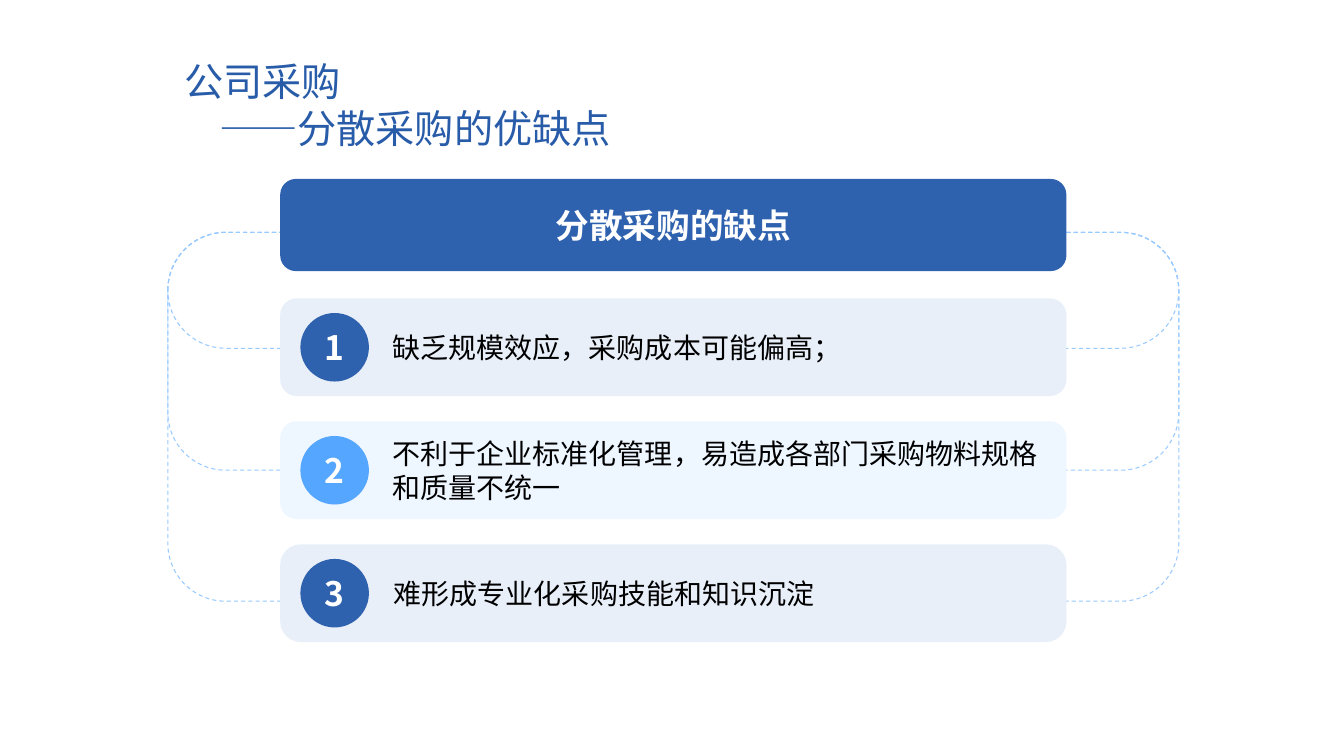
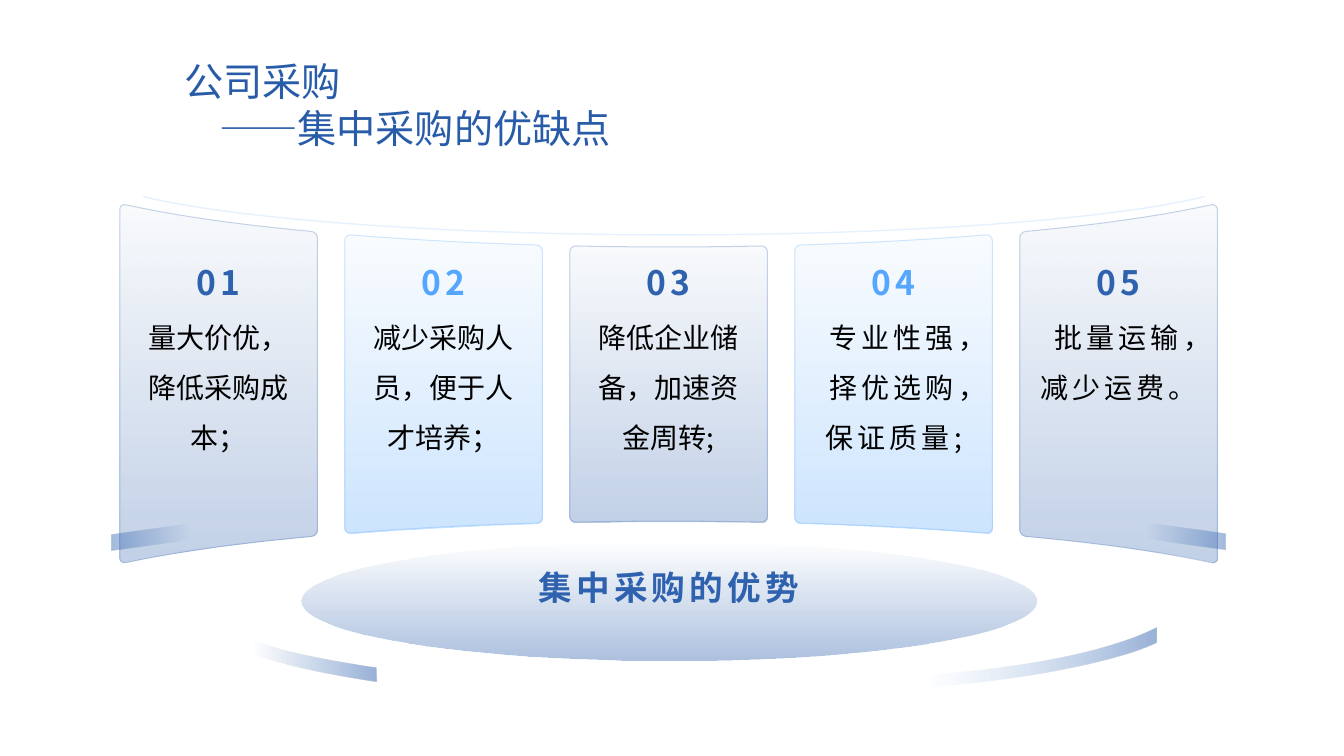
"""Build two slides on the drawbacks and strengths of purchasing models."""
from dataclasses import dataclass
from math import sqrt

from lxml import etree
from pptx import Presentation
from pptx.dml.color import RGBColor
from pptx.enum.dml import MSO_LINE
from pptx.enum.shapes import MSO_SHAPE
from pptx.enum.text import MSO_ANCHOR, MSO_AUTO_SIZE, PP_ALIGN
from pptx.oxml.ns import qn
from pptx.util import Inches, Pt

ROUNDED, OVAL = MSO_SHAPE.ROUNDED_RECTANGLE, MSO_SHAPE.OVAL
LEFT, CENTER = PP_ALIGN.LEFT, PP_ALIGN.CENTER
TOP, MIDDLE = MSO_ANCHOR.TOP, MSO_ANCHOR.MIDDLE
DASH = MSO_LINE.DASH
NO_RESIZE = MSO_AUTO_SIZE.NONE

COLUMNS, ROWS = 133.33, 75
TITLE_ONLY = 5
NAVY, SKY, TITLE_BLUE, RING_BLUE = "2F62AE", "54A6FF", "285CA9", "98CAFF"
PALE_NAVY, PALE_SKY, WHITE, BLACK = "E8EFF9", "EEF6FF", "FFFFFF", "000000"
TITLE_FONT, BODY_FONT, LATIN_FONT = "Noto Sans CJK SC", "Noto Sans CJK JP", "Arial"
PADDING, NO_PADDING = (1, 0.5, 1, 0.5), (0, 0, 0, 0)

STAGE_CENTER, STAGE_RADIUS = 66.33, 65
CEILING, FLOOR = (24.5, -9.5), (51.7, 9.4)
CARD_WIDTH, CARD_PITCH, CARD_RADIUS = 19.6, 22.32, 0.6
BAR_LEFT, BAR_WIDTH, BAR_HEIGHT, BAR_PITCH = 27.8, 78, 9.7, 12.2
BADGE_SIZE = 6.8
RING_RADIUS = 5.75

Point = tuple[float, float]
Step = tuple[Point, ...]


@dataclass(frozen=True)
class Area:
    """A rectangle in grid columns and rows."""
    left: float
    top: float
    width: float
    height: float

    def lengths(self) -> tuple:
        """Return the rectangle in slide lengths."""
        return tuple(grid(n) for n in (self.left, self.top, self.width, self.height))


@dataclass(frozen=True)
class Drawback:
    """A numbered bar."""
    text: str
    fill: str
    badge: str
    rounding: float = 0.17


@dataclass(frozen=True)
class Strength:
    """A curved card."""
    text: str
    color: str
    spacing: float = 0


DRAWBACKS = (
    Drawback("缺乏规模效应，采购成本可能偏高；", PALE_NAVY, NAVY),
    Drawback("不利于企业标准化管理，易造成各部门采购物料规格和质量不统一", PALE_SKY, SKY),
    Drawback("难形成专业化采购技能和知识沉淀", PALE_NAVY, NAVY, 0.21),
)
RING_HEIGHTS = (11.5, 23.6, 36.6)
STRENGTHS = (
    Strength("量大价优，降低采购成本；", NAVY),
    Strength("减少采购人员，便于人才培养；", SKY),
    Strength("降低企业储备，加速资金周转;", NAVY),
    Strength("专业性强，择优选购，保证质量;", SKY, 3),
    Strength("批量运输，减少运费。", NAVY, 3),
)


def grid(count: float) -> int:
    """Turn grid cells into a slide length."""
    return Inches(count / 10)


def rgb(value: str) -> RGBColor:
    """Turn a hex string into a colour."""
    return RGBColor.from_string(value)


def set_alpha(parent, percents: tuple) -> None:
    """Give the colours below an element their opacity."""
    for color, percent in zip(parent.iter(qn("a:srgbClr")), percents):
        etree.SubElement(color, qn("a:alpha")).set("val", str(percent * 1000))


def paint(shape, fill: str | None = None, line: str | None = None,
          weight: float = 0.75, dash=None, opacity: int | None = None) -> None:
    """Set a plain fill and outline."""
    shape.shadow.inherit = False
    if fill:
        shape.fill.solid()
        shape.fill.fore_color.rgb = rgb(fill)
    else:
        shape.fill.background()
    if line:
        shape.line.color.rgb = rgb(line)
        shape.line.width = Pt(weight)
        shape.line.dash_style = dash
        if opacity is not None:
            set_alpha(shape._element.spPr.find(qn("a:ln")), (opacity,))
    else:
        shape.line.fill.background()


def fade(shape, color: str, opacities: tuple[int, int], angle: int = 270,
         start: float = 0, first: str | None = None) -> None:
    """Fill a shape with a gradient between two opacities."""
    shape.fill.gradient()
    shape.fill.gradient_angle = angle
    colors = (first or color, color)
    for stop, position, value in zip(shape.fill.gradient_stops, (start, 1), colors):
        stop.position = position
        stop.color.rgb = rgb(value)
    set_alpha(shape._element.spPr.find(qn("a:gradFill")), opacities)


def write(box, *lines: str, size: float, color: str, font: str = BODY_FONT,
          bold: bool = False, spacing: float = 0, leading: float | None = None,
          align=LEFT, anchor=MIDDLE, padding: tuple = PADDING,
          wrap: bool = True, indent: float = 0) -> None:
    """Write paragraphs into a shape; later ones take the indent."""
    frame = box.text_frame
    frame.auto_size = NO_RESIZE
    frame.word_wrap = wrap
    frame.vertical_anchor = anchor
    (frame.margin_left, frame.margin_top,
     frame.margin_right, frame.margin_bottom) = map(grid, padding)
    for index, line in enumerate(lines):
        para = frame.add_paragraph() if index else frame.paragraphs[0]
        para.alignment = align
        if leading:
            para.line_spacing = Pt(leading)
        if index and indent:
            properties = para._p.get_or_add_pPr()
            properties.set("marL", str(grid(indent)))
            properties.set("indent", "0")
        span = para.add_run()
        span.text = line
        span.font.size = Pt(size)
        span.font.bold = bold
        span.font.color.rgb = rgb(color)
        span.font.name = font
        run_properties = span._r.get_or_add_rPr()
        run_properties.set("lang", "zh-CN")
        if spacing:
            run_properties.set("spc", str(round(spacing * 100)))
        east_asian = TITLE_FONT if font == LATIN_FONT else font
        etree.SubElement(run_properties, qn("a:ea")).set("typeface", east_asian)


def add_shape(page, kind, area: Area, rounding: float | None = None, **style):
    """Add a painted preset shape."""
    shape = page.shapes.add_shape(kind, *area.lengths())
    if rounding is not None:
        shape.adjustments[0] = rounding
    paint(shape, **style)
    return shape


def add_label(page, area: Area, text: str, **style) -> None:
    """Add a centred text box without padding."""
    box = page.shapes.add_textbox(*area.lengths())
    write(box, text, align=CENTER, padding=NO_PADDING, **style)


def add_outline(page, steps: list[Step], close: bool = True, **style):
    """Add a painted freeform; steps of three points are cubic curves."""
    start, *rest = [(grid(x), grid(y)) for step in steps for x, y in step]
    builder = page.shapes.build_freeform(*start)
    builder.add_line_segments(rest, close=close)
    shape = builder.convert_to_shape()
    segments = iter(list(shape._element.iter(qn("a:lnTo"))))
    for step in steps[1:]:
        segment = next(segments)
        if len(step) == 3:
            segment.tag = qn("a:cubicBezTo")
            for _ in range(2):
                extra = next(segments)
                segment.append(extra[0])
                extra.getparent().remove(extra)
    paint(shape, **style)
    return shape


def arc_point(arc: tuple[float, float], x: float) -> Point:
    """Return the point of a stage arc at a column."""
    base, rise = arc
    return x, base + rise * (1 - sqrt(1 - ((x - STAGE_CENTER) / STAGE_RADIUS) ** 2))


def arc_step(arc: tuple[float, float], start: float, end: float) -> Step:
    """Follow a stage arc between two columns with one curve."""
    third = (end - start) / 3

    def pull(x: float, shift: float) -> Point:
        share = (x - STAGE_CENTER) / STAGE_RADIUS
        slope = arc[1] * share / (STAGE_RADIUS * sqrt(1 - share ** 2))
        return x + shift, arc_point(arc, x)[1] + slope * shift

    return pull(start, third), pull(end, -third), arc_point(arc, end)


def corner_step(start: Point, tip: Point, end: Point) -> Step:
    """Round a corner with one curve."""
    pulls = [tuple(a + 0.55 * (b - a) for a, b in zip(point, tip)) for point in (start, end)]
    return pulls[0], pulls[1], end


def card_outline(left: float) -> list[Step]:
    """Outline a rounded card between the two arcs of the stage."""
    right = left + CARD_WIDTH
    inner_left, inner_right = left + CARD_RADIUS, right - CARD_RADIUS
    tips = [arc_point(arc, x) for arc, x in
            ((CEILING, left), (CEILING, right), (FLOOR, right), (FLOOR, left))]
    sides = [(x, y + shift) for (x, y), shift in
             zip(tips, (CARD_RADIUS, CARD_RADIUS, -CARD_RADIUS, -CARD_RADIUS))]
    return [
        (sides[0],),
        corner_step(sides[0], tips[0], arc_point(CEILING, inner_left)),
        arc_step(CEILING, inner_left, inner_right),
        corner_step(arc_point(CEILING, inner_right), tips[1], sides[1]),
        (sides[2],),
        corner_step(sides[2], tips[2], arc_point(FLOOR, inner_right)),
        arc_step(FLOOR, inner_right, inner_left),
        corner_step(arc_point(FLOOR, inner_left), tips[3], sides[3]),
    ]


def add_page(deck, subtitle: str):
    """Add a slide with the shared two-line title."""
    page = deck.slides.add_slide(deck.slide_layouts[TITLE_ONLY])
    title = page.shapes.title
    title.left, title.top, title.width, title.height = Area(17.3, 7.2, 99, 6.4).lengths()
    write(title, "公司采购", f"——{subtitle}", size=28, color=TITLE_BLUE,
          font=TITLE_FONT, leading=33, indent=3.45)
    return page


def build_drawbacks(deck) -> None:
    """Draw the numbered bars and the rings that tie them to the heading."""
    page = add_page(deck, "分散采购的优缺点")
    for height in RING_HEIGHTS:
        add_shape(page, ROUNDED, Area(16.65, 23.05, 100.3, height),
                  RING_RADIUS / height, line=RING_BLUE, dash=DASH)
    for index, item in enumerate(DRAWBACKS):
        top = 29.6 + index * BAR_PITCH
        bar = add_shape(page, ROUNDED, Area(BAR_LEFT, top, BAR_WIDTH, BAR_HEIGHT),
                        item.rounding, fill=item.fill)
        write(bar, item.text, size=20, color=BLACK, leading=24, padding=(10.67, 0.5, 1, 0.5))
        badge = add_shape(page, OVAL, Area(BAR_LEFT + 2, top + (BAR_HEIGHT - BADGE_SIZE) / 2,
                                           BADGE_SIZE, BADGE_SIZE), fill=item.badge)
        write(badge, str(index + 1), size=24, color=WHITE, bold=True, align=CENTER, wrap=False)
    heading = add_shape(page, ROUNDED, Area(BAR_LEFT, 17.75, BAR_WIDTH, 9.15), 0.17, fill=NAVY)
    write(heading, "分散采购的缺点", size=24, color=WHITE, bold=True, align=CENTER)


def build_strengths(deck) -> None:
    """Draw the curved stage with its five cards."""
    page = add_page(deck, "集中采购的优缺点")
    podium = add_shape(page, OVAL, Area(29.9, 53.7, 72.95, 11.8))
    fade(podium, NAVY, (0, 40))
    add_label(page, Area(36.2, 54.2, 60.3, 8.1), "集中采购的优势", size=24,
              color=NAVY, font=LATIN_FONT, bold=True, spacing=3)

    left_ribbon = [((37.3, 66.2),), ((37.35, 67.6),),
                   ((37.35, 67.6), (25.2, 65.9), (23.6, 63.9)), ((23.7, 62.6),),
                   ((23.7, 62.6), (24.6, 64.4), (37.3, 66.2))]
    right_ribbon = [((114.7, 62.3),), ((114.7, 63.8),),
                    ((114.7, 63.8), (108.8, 67), (89.2, 68.4)), ((89.1, 67.1),),
                    ((89.1, 67.1), (106.3, 66.5), (114.7, 62.3))]
    for steps, first in ((left_ribbon, NAVY), (right_ribbon, "769EDA")):
        fade(add_outline(page, steps), NAVY, (0, 49), angle=0, start=0.12, first=first)

    rim = [((119.5, 19.5),), ((110.7, 21.7), (90.5, 23.3), (66.9, 23.3)),
           ((43.4, 23.3), (23.2, 21.7), (14.2, 19.5))]
    add_outline(page, rim, close=False, line=SKY, weight=1, opacity=15)

    for index, item in enumerate(STRENGTHS):
        left = STAGE_CENTER + (index - 2) * CARD_PITCH - CARD_WIDTH / 2
        card = add_outline(page, card_outline(left), line=item.color, opacity=25)
        fade(card, item.color, (3, 30))
        add_label(page, Area(left + 2, 26.15, 15.6, 3.7), f"{index + 1:02}",
                  size=24, color=item.color, bold=True, spacing=3)
        add_label(page, Area(left + 2, 30.1, 15.6, 19.8), item.text, size=20, color=BLACK,
                  spacing=item.spacing, leading=36, anchor=TOP)

    right_wedge = [(112.9, 51.7), (121.6, 52.9), (121.6, 54.5), (112.9, 53.3)]
    left_wedge = [(132.7 - x, y + 0.1) for x, y in right_wedge]
    for points, angle in ((right_wedge, 0), (left_wedge, 180)):
        wedge = add_outline(page, [(point,) for point in points])
        fade(wedge, NAVY, (0, 44), angle=angle, start=0.12)


def main() -> None:
    """Build and save the deck."""
    deck = Presentation()
    deck.slide_width, deck.slide_height = grid(COLUMNS), grid(ROWS)
    build_drawbacks(deck)
    build_strengths(deck)
    deck.save("out.pptx")


if __name__ == "__main__":
    main()
